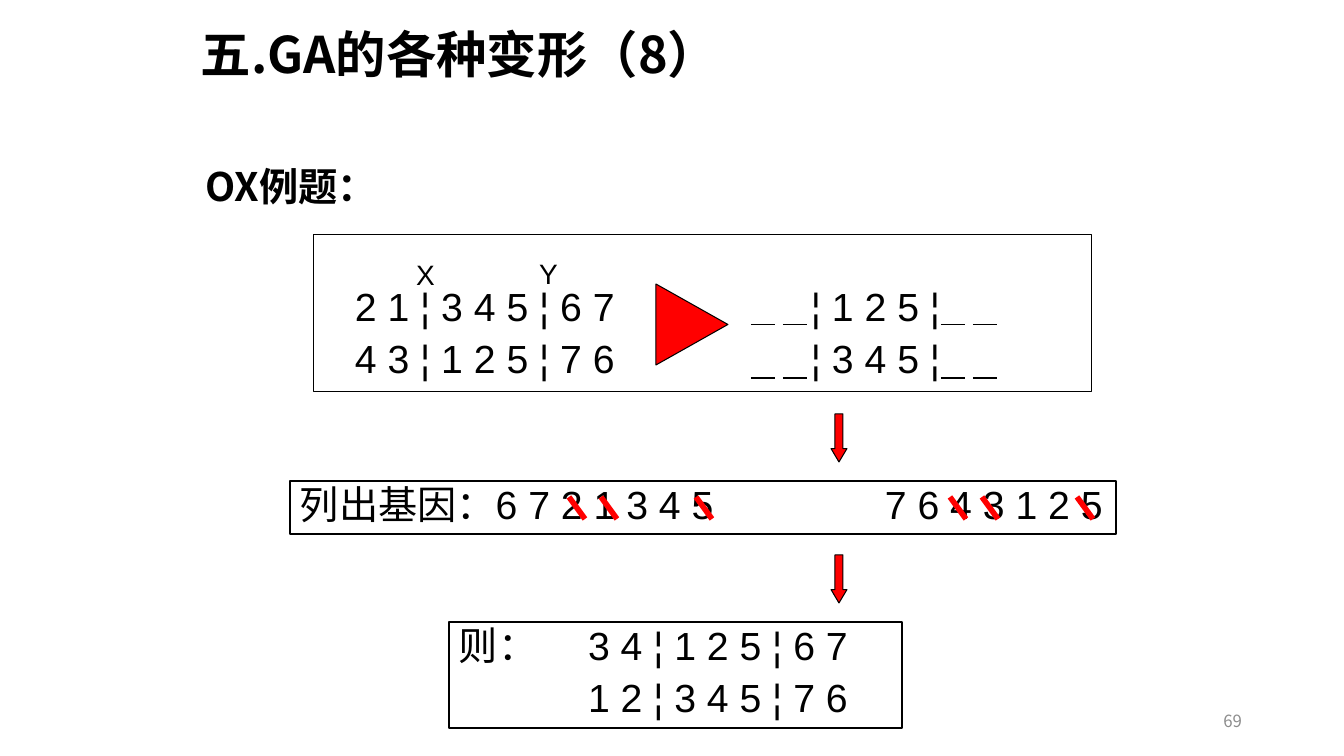
from lxml import etree
from pptx import Presentation
from pptx import util as u
from pptx.dml.color import RGBColor
from pptx.enum import shapes, text
from pptx.oxml.ns import qn

PX = 914400 / 100.8
THEME = {
    "ink": RGBColor(0, 0, 0),
    "red": RGBColor(255, 0, 0),
    "grey": RGBColor(0x8C, 0x8C, 0x8C),
    "sans": "Arial",
    "cjk": "Noto Sans CJK SC",
    "title_cjk": "Noto Sans CJK JP",
    "title": 36, "body": 28, "mark": 20, "number": 12,
}

deck = Presentation()
deck.slide_width, deck.slide_height = round(1344 * PX), round(756 * PX)
page = deck.slides.add_slide(deck.slide_layouts[6])


def write(box, lines, size, font, color="ink", bold=False, wrap=True,
          anchor=text.MSO_ANCHOR.TOP, align=text.PP_ALIGN.LEFT,
          spacing=0.9, top=5, tabs=()):
    frame = box.text_frame
    frame_format = {"word_wrap": wrap, "vertical_anchor": anchor,
                    "margin_left": round(10 * PX), "margin_right": round(10 * PX),
                    "margin_top": round(top * PX), "margin_bottom": round(5 * PX)}
    for name, value in frame_format.items():
        setattr(frame, name, value)
    for index, line in enumerate(lines):
        para = frame.paragraphs[0] if index == 0 else frame.add_paragraph()
        if tabs:
            stops = etree.SubElement(para._p.get_or_add_pPr(), qn("a:tabLst"))
            for stop in tabs:
                etree.SubElement(stops, qn("a:tab"), pos=str(round(stop * PX)), algn="l")
        para.alignment, para.line_spacing = align, spacing
        if index:
            para.space_before = u.Pt(6.5)
        span = para.add_run()
        span.text = line
        for name, value in {"size": u.Pt(THEME[size]), "name": THEME[font], "bold": bold}.items():
            setattr(span.font, name, value)
        span.font.color.rgb = THEME[color]
        if font != "sans":
            etree.SubElement(span._r.get_or_add_rPr(), qn("a:ea"), typeface=THEME[font])


def draw_line(x1, y1, x2, y2, color, width):
    line = page.shapes.add_connector(
        shapes.MSO_CONNECTOR.STRAIGHT, *(round(v * PX) for v in (x1, y1, x2, y2)))
    line.line.color.rgb = THEME[color]
    line.line.width = u.Pt(width)
    etree.SubElement(line._element.spPr, qn("a:effectLst"))


labels = [
    ((950, 701, 302, 40), "69",
     {"size": "number", "font": "cjk", "color": "grey", "spacing": 1,
      "anchor": text.MSO_ANCHOR.MIDDLE, "align": text.PP_ALIGN.RIGHT}),
    ((196, 148, 953, 70), "OX例题：",
     {"size": "body", "font": "cjk", "bold": True, "spacing": 1.2}),
    ((191, 21, 950, 72), "五.GA的各种变形（8）",
     {"size": "title", "font": "title_cjk", "bold": True,
      "anchor": text.MSO_ANCHOR.MIDDLE}),
]
for mark, left, top in (("X", 406, 256), ("Y", 529, 255)):
    labels.append(((left, top, 39, 40), mark,
                   {"size": "mark", "font": "sans", "wrap": False,
                    "align": text.PP_ALIGN.CENTER}))

panels = [
    ((314, 235, 778, 157), 0.75, 53, (31, 487),
     ["\t2 1 ¦ 3 4 5 ¦ 6 7\t¦ 1 2 5 ¦", "\t4 3 ¦ 1 2 5 ¦ 7 6\t¦ 3 4 5 ¦"]),
    ((290, 481, 826, 53), 1, 5, (585,),
     ["列出基因：6 7 2 1 3 4 5\t7 6 4 3 1 2 5"]),
    ((449, 622, 453, 106), 1, 5, (129,),
     ["则：\t3 4 ¦ 1 2 5 ¦ 6 7", "\t1 2 ¦ 3 4 5 ¦ 7 6"]),
]
for place, border, top, tabs, lines in panels:
    panel = page.shapes.add_shape(
        shapes.MSO_SHAPE.RECTANGLE, *(round(v * PX) for v in place))
    panel.shadow.inherit = False
    panel.fill.background()
    panel.line.color.rgb = THEME["ink"]
    panel.line.width = u.Pt(border)
    write(panel, lines, "body", "sans", top=top, tabs=tabs)

for place, wording, style in labels:
    label = page.shapes.add_textbox(*(round(v * PX) for v in place))
    write(label, [wording], **style)

for gene_left in (569, 950):
    for offset in (0, 32, 127):
        x = gene_left + offset
        draw_line(x, 497, x + 16, 519, "red", 4)

for y in (325, 378):
    for x in (751, 783, 941, 973):
        draw_line(x, y, x + 24, y, "ink", 0.75)

arrows = [
    (shapes.MSO_SHAPE.RIGHT_ARROW, (656, 284, 72, 81), 1.17),
    (shapes.MSO_SHAPE.DOWN_ARROW, (831, 414, 16, 48), 0.84),
    (shapes.MSO_SHAPE.DOWN_ARROW, (831, 555, 16, 48), 0.84),
]
for kind, place, head in arrows:
    arrow = page.shapes.add_shape(kind, *(round(v * PX) for v in place))
    arrow.shadow.inherit = False
    arrow.adjustments[1] = head
    arrow.fill.solid()
    arrow.fill.fore_color.rgb = THEME["red"]
    arrow.line.color.rgb = THEME["ink"]
    arrow.line.width = u.Pt(0.75)

deck.save("out.pptx")
